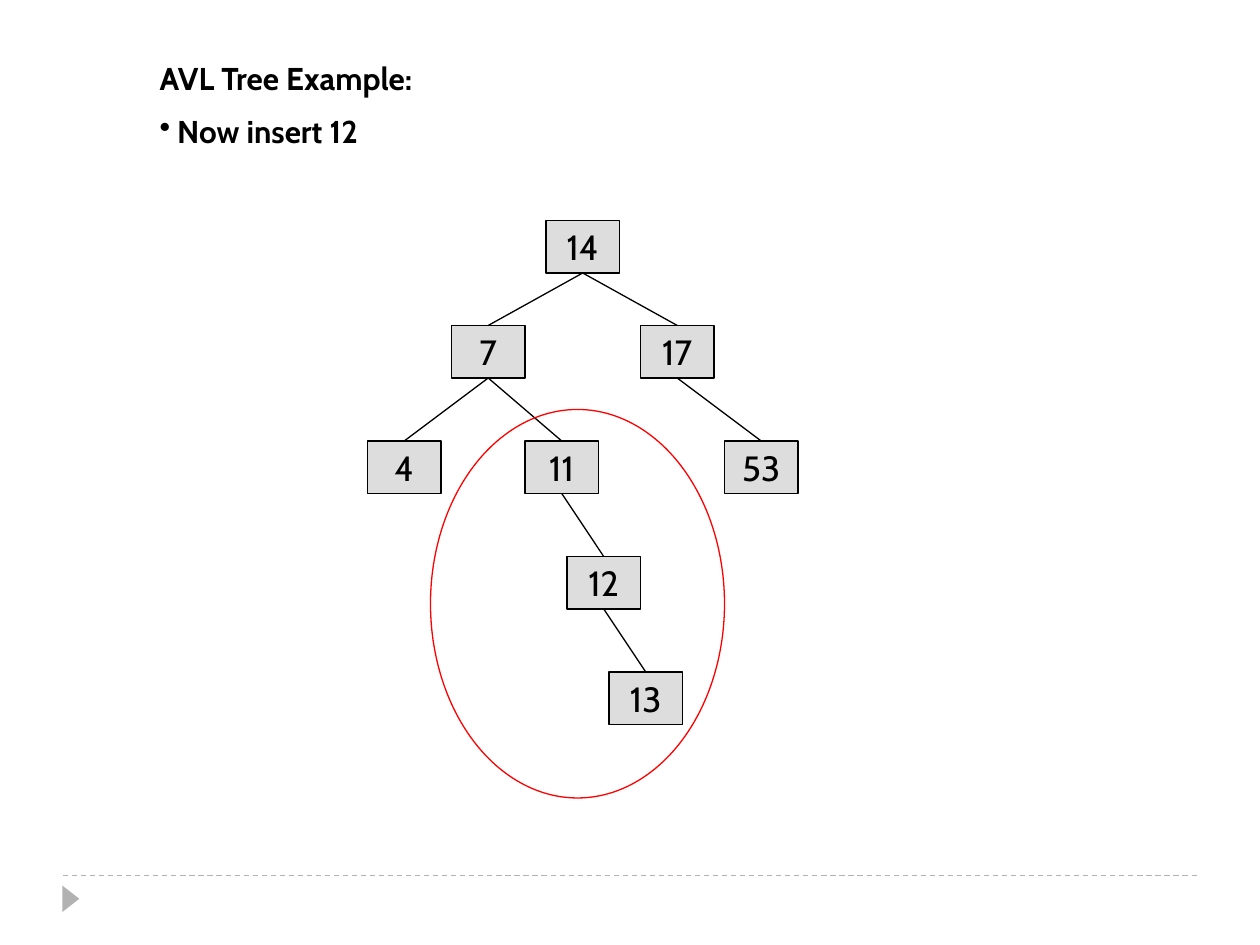
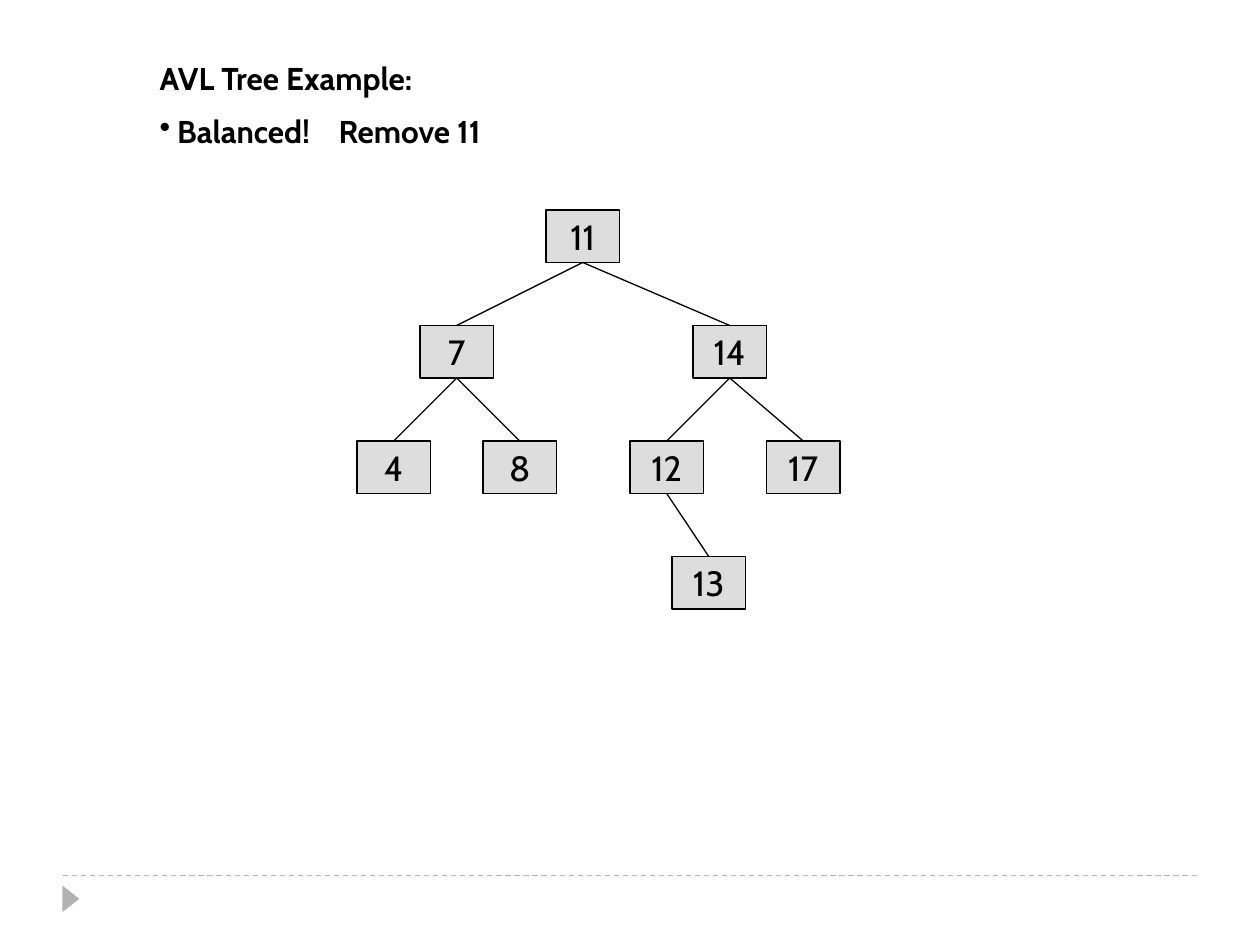
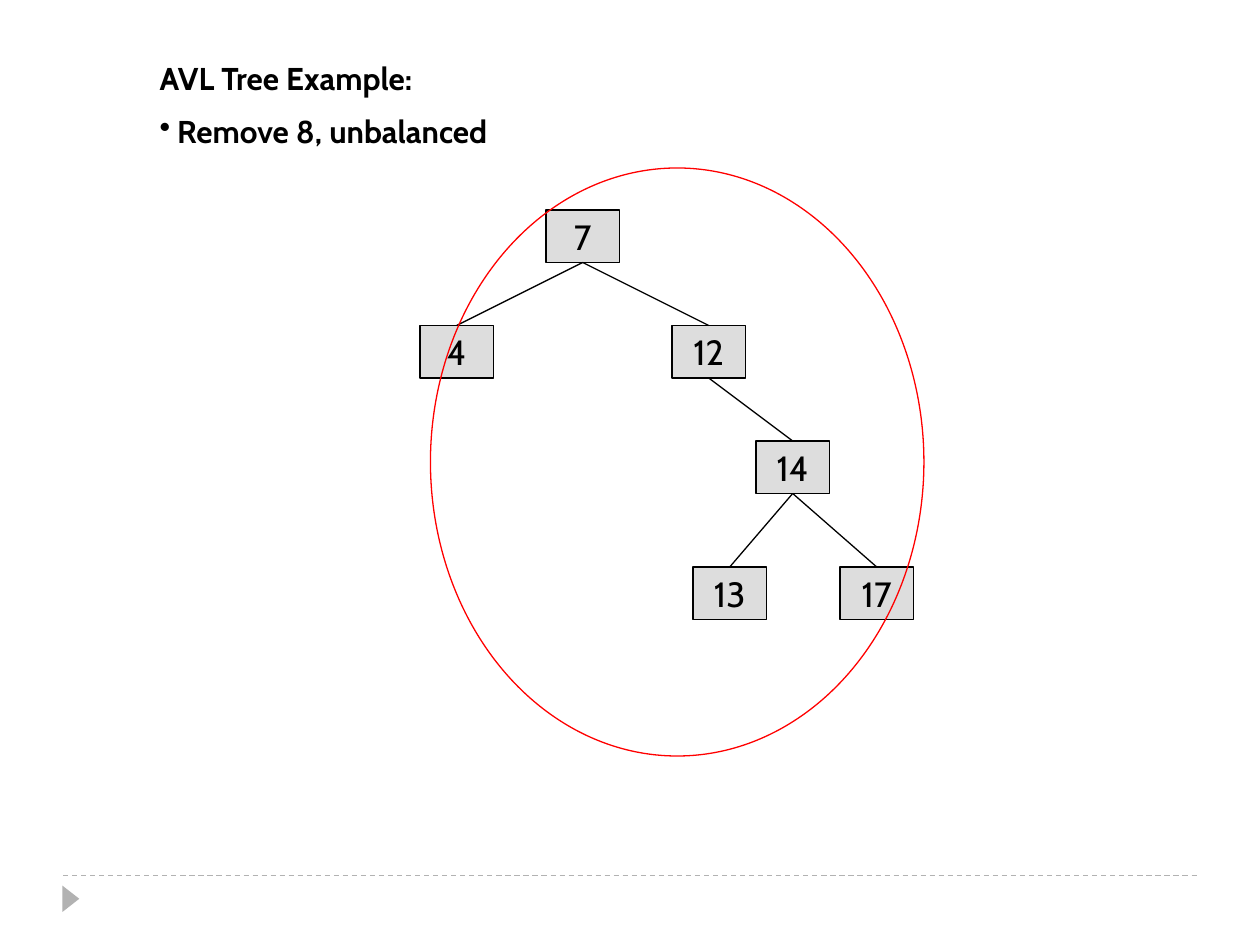
from lxml import etree
from pptx import Presentation
from pptx import util as u
from pptx.dml.color import RGBColor
from pptx.enum import dml, shapes, text
from pptx.oxml.ns import qn

COLORS = {"ink": "000000", "node": "DDDDDD", "mark": "FF0000", "footer": "B2B2B2"}
FONT = "Cabin"
COLS, ROWS = 120, 90            # grid over the whole slide
NODE_W, NODE_H = 7, 5           # node size in grid cells
TOP, BOTTOM = 0, 2              # connection sites of a rectangle
BULLET_INDENT, TAB_STOP = u.Inches(0.14), u.Inches(1.42)


def rgb(name):
    return RGBColor.from_string(COLORS[name])


def set_all(obj, **values):
    for name, value in values.items():
        setattr(obj, name, value)


class Deck:
    """Holds the style and the slide being drawn."""

    def __init__(self):
        self.prs = Presentation()
        set_all(self.prs, slide_width=u.Inches(10), slide_height=u.Inches(7.5))
        self.s = None

    def box(self, x, y, w, h):
        dx, dy = self.prs.slide_width / COLS, self.prs.slide_height / ROWS
        return [round(v) for v in (x * dx, y * dy, w * dx, h * dy)]

    def new_slide(self):
        self.s = self.prs.slides.add_slide(self.prs.slide_layouts[5])
        self.footer()

    def shape(self, kind, cells, fill=None, line=None):
        sp = self.s.shapes.add_shape(kind, *self.box(*cells))
        sp.shadow.inherit = False
        if fill:
            sp.fill.solid()
            sp.fill.fore_color.rgb = rgb(fill)
        else:
            sp.fill.background()
        if line:
            sp.line.color.rgb = rgb(line)
            sp.line.width = u.Pt(0.75)
        else:
            sp.line.fill.background()
        return sp

    def line(self, start=(0, 0), end=(0, 0), color="ink"):
        cn = self.s.shapes.add_connector(
            shapes.MSO_CONNECTOR.STRAIGHT, *self.box(*start, *end))
        cn.line.color.rgb = rgb(color)
        cn.line.width = u.Pt(0.75)
        etree.SubElement(cn.element.spPr, qn("a:effectLst"))
        return cn

    def add_words(self, p, words, size, bold=False):
        r = p.add_run()
        r.text = words
        set_all(r.font, name=FONT, size=u.Pt(size), bold=bold)
        r.font.color.rgb = rgb("ink")

    def footer(self):
        rule = self.line((6, 83.4), (114, 83.4), "footer")
        rule.line.dash_style = dml.MSO_LINE.DASH
        arrow = self.shape(shapes.MSO_SHAPE.ISOSCELES_TRIANGLE,
                           (5.5, 84.8, 2.5, 1.6), fill="footer")
        arrow.rotation = 90

    def heading(self, title, step, width):
        sp = self.s.shapes.title
        left, top, w, h = self.box(14, 5, width, 10.2)
        set_all(sp, left=left, top=top, width=w, height=h)
        tf = sp.text_frame
        set_all(tf, word_wrap=True, vertical_anchor=text.MSO_ANCHOR.TOP,
                auto_size=text.MSO_AUTO_SIZE.SHAPE_TO_FIT_TEXT)
        for p, words in ((tf.paragraphs[0], title), (tf.add_paragraph(), step)):
            p.alignment = text.PP_ALIGN.LEFT
            self.add_words(p, words, 18, bold=True)
        p.space_before = u.Pt(9)
        self.bullet(p, tab="\t" in step)

    def bullet(self, p, tab):
        pPr = p._p.get_or_add_pPr()
        pPr.set("marL", str(BULLET_INDENT))
        pPr.set("indent", str(-BULLET_INDENT))
        etree.SubElement(pPr, qn("a:buChar"), char="•")
        if tab:
            tabs = etree.SubElement(pPr, qn("a:tabLst"))
            etree.SubElement(tabs, qn("a:tab"), pos=str(TAB_STOP), algn="l")

    def node(self, key, col, row):
        sp = self.shape(shapes.MSO_SHAPE.RECTANGLE, (col, row, NODE_W, NODE_H),
                        fill="node", line="ink")
        tf = sp.text_frame
        set_all(tf, word_wrap=False, vertical_anchor=text.MSO_ANCHOR.MIDDLE)
        p = tf.paragraphs[0]
        p.alignment = text.PP_ALIGN.CENTER
        self.add_words(p, str(key), 20)
        return sp

    def tree(self, nodes):
        """Draw {key: (col, row, parent key)}, parents first."""
        drawn = {}
        for key, (col, row, parent) in nodes.items():
            drawn[key] = self.node(key, col, row)
            if parent is not None:
                edge = self.line()
                edge.begin_connect(drawn[parent], BOTTOM)
                edge.end_connect(drawn[key], TOP)

    def highlight(self, cells):
        self.shape(shapes.MSO_SHAPE.OVAL, cells, line="mark")


# One entry per slide: step, heading width, tree, unbalanced region
STEPS = [
    ("Now insert 12", 94,
     {14: (52, 21, None), 7: (43, 31, 14), 17: (61, 31, 14),
      4: (35, 42, 7), 11: (50, 42, 7), 53: (69, 42, 17),
      12: (54, 53, 11), 13: (58, 64, 12)},
     (41, 39, 28, 37)),
    ("Balanced!\tRemove 11", 94,
     {11: (52, 20, None), 7: (40, 31, 11), 14: (66, 31, 11),
      4: (34, 42, 7), 8: (46, 42, 7), 12: (60, 42, 14), 17: (73, 42, 14),
      13: (64, 53, 12)},
     None),
    ("Remove 8, unbalanced", 101,
     {7: (52, 20, None), 4: (40, 31, 7), 12: (64, 31, 7),
      14: (72, 42, 12), 13: (66, 54, 14), 17: (80, 54, 14)},
     (41, 16, 47, 56)),
]


def main():
    deck = Deck()
    for step, width, nodes, region in STEPS:
        deck.new_slide()
        deck.heading("AVL Tree Example:", step, width)
        deck.tree(nodes)
        if region:
            deck.highlight(region)
    deck.prs.save("out.pptx")


if __name__ == "__main__":
    main()
